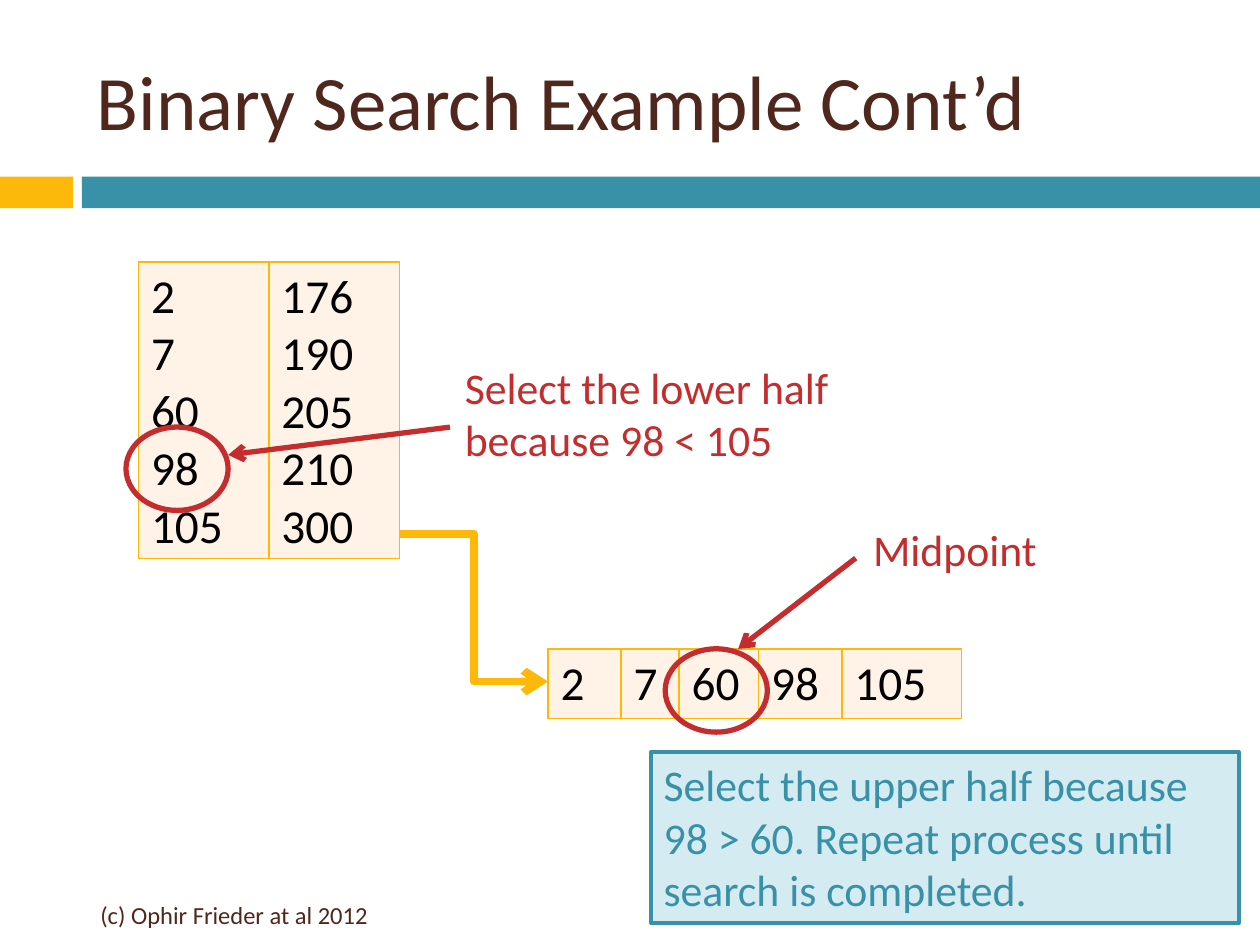
"""Build the binary search example slide."""
from dataclasses import dataclass

from lxml.etree import SubElement
from pptx import Presentation
from pptx.dml.color import RGBColor
from pptx.enum.shapes import MSO_CONNECTOR, MSO_SHAPE
from pptx.enum.text import MSO_ANCHOR, PP_ALIGN
from pptx.oxml import parse_xml
from pptx.oxml.ns import nsdecls, qn
from pptx.util import Cm, Pt


@dataclass(frozen=True)
class Theme:
    font: str = "Calibri"
    brown: str = "4F271C"
    gold: str = "FEB80A"
    teal: str = "3891A7"
    pale_teal: str = "D4EBF1"
    cream: str = "FFF3E7"
    red: str = "C32D2E"
    black: str = "000000"
    title_size: float = 44
    table_size: float = 27
    note_size: float = 25
    footer_size: float = 14


class SlideBuilder:
    def __init__(self, slide, theme):
        self.slide = slide
        self.theme = theme

    def add_lines(self, frame, lines, size, color, align=PP_ALIGN.LEFT):
        frame.word_wrap = True
        for index, line in enumerate(lines):
            paragraph = frame.add_paragraph() if index else frame.paragraphs[0]
            paragraph.alignment = align
            run = paragraph.add_run()
            run.text = line
            run.font.name = self.theme.font
            run.font.size = Pt(size)
            run.font.color.rgb = RGBColor.from_string(color)

    def text(self, box, content, size, color, anchor=MSO_ANCHOR.TOP, align=PP_ALIGN.LEFT):
        frame = self.slide.shapes.add_textbox(*map(Cm, box)).text_frame
        frame.vertical_anchor = anchor
        self.add_lines(frame, [content], size, color, align)

    def shape(self, kind, box, fill=None, line=None, width=0):
        shape = self.slide.shapes.add_shape(kind, *map(Cm, box))
        shape.shadow.inherit = False
        if fill:
            shape.fill.solid()
            shape.fill.fore_color.rgb = RGBColor.from_string(fill)
        else:
            shape.fill.background()
        if line:
            shape.line.color.rgb = RGBColor.from_string(line)
            shape.line.width = Pt(width)
        else:
            shape.line.fill.background()
        return shape

    def circle(self, left, top):
        self.shape(MSO_SHAPE.OVAL, (left, top, 2.06, 1.68), line=self.theme.red, width=3)

    def callout(self, box, content):
        theme = self.theme
        shape = self.shape(MSO_SHAPE.RECTANGLE, box, theme.pale_teal, theme.teal, 2.25)
        shape.text_frame.vertical_anchor = MSO_ANCHOR.TOP
        self.add_lines(shape.text_frame, [content], theme.note_size, theme.teal)

    def arrow(self, start, end, color, width, kind=MSO_CONNECTOR.STRAIGHT):
        connector = self.slide.shapes.add_connector(kind, *map(Cm, start + end))
        connector.line.color.rgb = RGBColor.from_string(color)
        connector.line.width = Pt(width)
        properties = connector._element.spPr
        SubElement(properties.find(qn("a:ln")), qn("a:tailEnd"), type="arrow")
        SubElement(properties, qn("a:effectLst"))

    def table(self, left, top, widths, height, columns):
        theme = self.theme
        box = map(Cm, (left, top, sum(widths), height))
        table = self.slide.shapes.add_table(1, len(columns), *box).table
        table.first_row = table.horz_banding = False
        for index, (width, values) in enumerate(zip(widths, columns)):
            table.columns[index].width = Cm(width)
            cell = table.cell(0, index)
            cell.fill.solid()
            cell.fill.fore_color.rgb = RGBColor.from_string(theme.cream)
            self.add_lines(cell.text_frame, values, theme.table_size, theme.black)
            self.borders(cell)

    def borders(self, cell):
        properties = cell._tc.get_or_add_tcPr()
        for position, side in enumerate("LRTB"):
            properties.insert(position, parse_xml(
                f'<a:ln{side} {nsdecls("a")} w="{Pt(1)}"><a:solidFill>'
                f'<a:srgbClr val="{self.theme.gold}"/></a:solidFill></a:ln{side}>'))


def main():
    theme = Theme()
    presentation = Presentation()
    presentation.slide_width, presentation.slide_height = Cm(25.4), Cm(19.05)
    builder = SlideBuilder(presentation.slides.add_slide(presentation.slide_layouts[6]), theme)

    builder.shape(MSO_SHAPE.RECTANGLE, (0, 3.56, 1.47, 0.64), theme.gold)
    builder.shape(MSO_SHAPE.RECTANGLE, (1.65, 3.56, 23.75, 0.64), theme.teal)
    builder.text((1.7, 0.64, 22.66, 2.74), "Binary Search Example Cont’d",
                 theme.title_size, theme.brown, MSO_ANCHOR.MIDDLE)

    lower_half = ["2", "7", "60", "98", "105"]
    upper_half = ["176", "190", "205", "210", "300"]
    builder.table(2.79, 5.28, [2.63] * 2, 5.97, [lower_half, upper_half])
    builder.circle(2.54, 8.61)
    builder.arrow((9.07, 8.61), (4.6, 9.17), theme.red, 3)
    builder.text((9.12, 7.14, 9.5, 2.39), "Select the lower half because 98 < 105",
                 theme.note_size, theme.red)

    builder.arrow((8.05, 10.77), (11.05, 13.74), theme.gold, 4.5, MSO_CONNECTOR.ELBOW)
    builder.table(11.05, 13.08, [1.47, 1.17, 1.6, 1.68, 2.41], 1.4,
                  [[value] for value in lower_half])
    builder.circle(13.41, 13.08)
    builder.arrow((17.25, 11.25), (14.88, 13.08), theme.red, 3)
    builder.text((17.35, 10.41, 4.34, 1.32), "Midpoint", theme.note_size, theme.red)

    builder.callout((13.13, 15.16, 11.84, 3.45),
                    "Select the upper half because 98 > 60. "
                    "Repeat process until search is completed.")
    builder.text((0.05, 17.93, 7.62, 1.02), "(c) Ophir Frieder at al 2012",
                 theme.footer_size, theme.brown, MSO_ANCHOR.MIDDLE, PP_ALIGN.RIGHT)
    presentation.save("out.pptx")


main()
